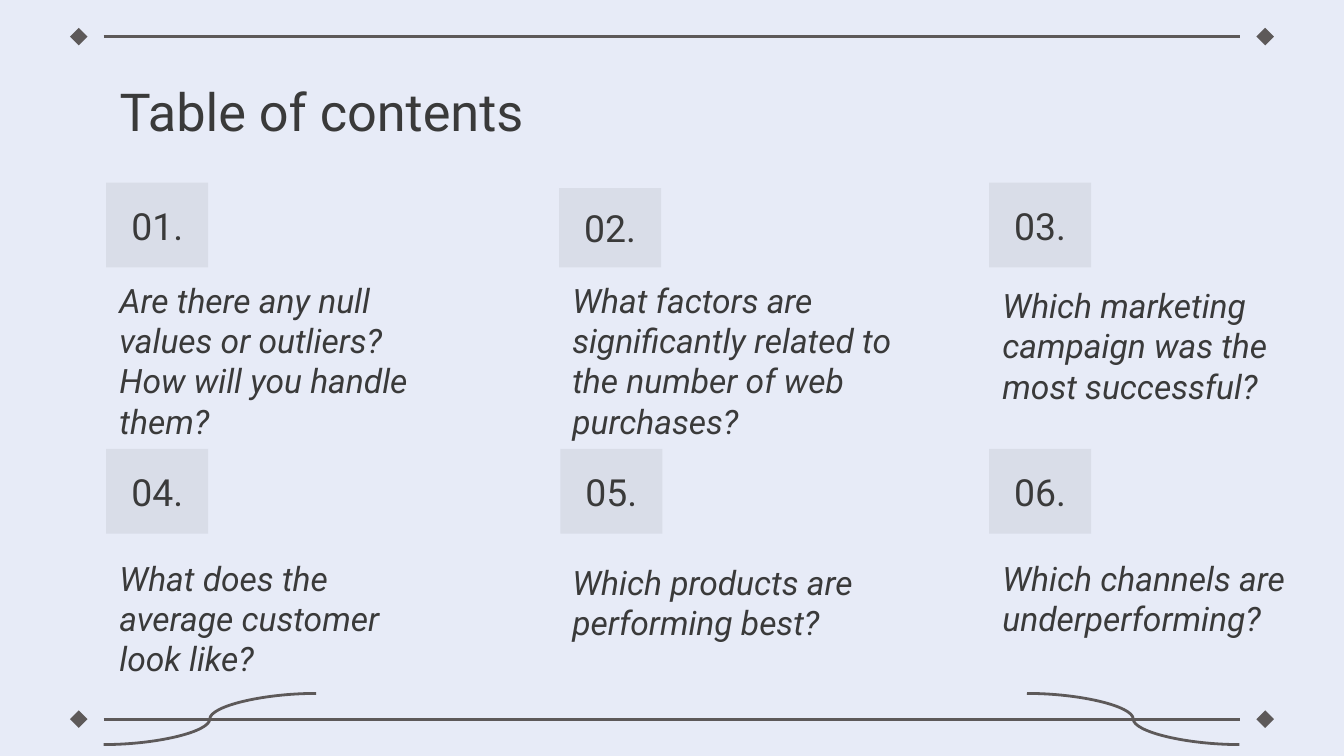
from dataclasses import dataclass

from lxml import etree
from pptx import Presentation
from pptx import util as u
from pptx.dml import color
from pptx.enum import shapes, text
from pptx.oxml import ns

Pt = u.Pt


@dataclass(frozen=True)
class Theme:
    back: str = "E7EBF7"
    line: str = "5D5959"
    badge: str = "D9DDE8"
    ink: str = "3A3A3A"
    font: str = "Roboto"
    head: int = 28
    num: int = 20
    body: int = 18
    rule: float = 1.5
    inset: float = 7.2


THEME = Theme()
WIDE, HIGH = 720, 405

# Column lefts and row tops of the contents grid
COLS = (56.9, 299.5, 529.9)
ROWS = (97.9, 240.5)

# Question, its box (top, width, height), and badge trim (left, top)
ITEMS = (
    ("Are there any null values or outliers? How will you handle them?",
     (150.5, 193.7, 92.9), (0, 0)),
    ("What factors are significantly related to the number of web purchases?",
     (150.5, 193.7, 92.9), (0, 2.9)),
    ("Which marketing campaign was the most successful?",
     (161.3, 178.6, 63.4), (0, 0)),
    ("What does the average customer look like?",
     (301.7, 175.7, 69.1), (0, 0)),
    ("Which products are performing best?",
     (301.7, 193.7, 49.7), (0.7, 0)),
    ("Which channels are underperforming?",
     (294.5, 235.4, 54.7), (0, 0)),
)


def rgb(code):
    return color.RGBColor.from_string(code)


def apply(obj, vals):
    for name, val in vals.items():
        setattr(obj, name, val)


def place(shape, box):
    names = ("left", "top", "width", "height")
    apply(shape, {name: Pt(val) for name, val in zip(names, box)})


def write(shape, words, size, anchor, align, italic=False):
    frame = shape.text_frame
    frame.text = words
    sides = ("left", "top", "right", "bottom")
    apply(frame, {f"margin_{side}": Pt(THEME.inset) for side in sides})
    apply(frame, {"word_wrap": True, "vertical_anchor": anchor,
                  "auto_size": text.MSO_AUTO_SIZE.NONE})
    para = frame.paragraphs[0]
    para.alignment = align
    font = para.runs[0].font
    apply(font, {"name": THEME.font, "size": Pt(size), "italic": italic})
    font.color.rgb = rgb(THEME.ink)


def solid(slide, kind, box, fill):
    shape = slide.shapes.add_shape(kind, *map(Pt, box))
    shape.shadow.inherit = False
    shape.fill.solid()
    shape.fill.fore_color.rgb = rgb(fill)
    shape.line.fill.background()
    return shape


def stroke(slide, kind, ends):
    line = slide.shapes.add_connector(kind, *map(Pt, ends))
    line.line.color.rgb = rgb(THEME.line)
    line.line.width = Pt(THEME.rule)
    etree.SubElement(line._element.spPr, ns.qn("a:effectLst"))


def border(slide, box):
    """Rule between two diamonds, centred on the height of the box."""
    left, top, width, height = box
    right, mid = left + width, top + height / 2
    gap = 18
    stroke(slide, shapes.MSO_CONNECTOR.STRAIGHT,
           (left + gap, mid, right - gap, mid))
    for x in (left, right - height):
        solid(slide, shapes.MSO_SHAPE.DIAMOND,
              (x, top, height, height), THEME.line)


def swirls(slide, box):
    """Mirrored curves rising inwards from the lower corners of the box."""
    left, top, width, height = box
    span = 113.8
    for x, way in ((left, 1), (left + width, -1)):
        stroke(slide, shapes.MSO_CONNECTOR.CURVE,
               (x, top + height, x + way * span, top))


def heading(slide, box):
    title = slide.shapes.title
    place(title, box)
    write(title, "Table of contents", THEME.head,
          text.MSO_ANCHOR.TOP, text.PP_ALIGN.LEFT)


def entry(slide, num, words, box, trim, left, top):
    """Number badge with its question below."""
    dx, dy = trim
    badge = solid(slide, shapes.MSO_SHAPE.RECTANGLE,
                  (left + dx, top + dy, 54.7, 45.4 - dy), THEME.badge)
    write(badge, f"{num:02}.", THEME.num,
          text.MSO_ANCHOR.MIDDLE, text.PP_ALIGN.CENTER)
    note = slide.shapes.add_textbox(Pt(left), *map(Pt, box))
    write(note, words, THEME.body, text.MSO_ANCHOR.BOTTOM,
          text.PP_ALIGN.LEFT, italic=True)


def contents(slide):
    for i, (words, box, trim) in enumerate(ITEMS):
        row, col = divmod(i, len(COLS))
        entry(slide, i + 1, words, box, trim, COLS[col], ROWS[row])


def main():
    deck = Presentation()
    apply(deck, {"slide_width": Pt(WIDE), "slide_height": Pt(HIGH)})
    slide = deck.slides.add_slide(deck.slide_layouts[5])
    fill = slide.background.fill
    fill.solid()
    fill.fore_color.rgb = rgb(THEME.back)

    # Frame at top and bottom
    for top in (14.9, 380.6):
        border(slide, (37.5, top, 645, 9.4))
    swirls(slide, (55.5, 371.5, 608.5, 27.4))

    # Title and numbered questions
    heading(slide, (56.9, 35.3, 607, 45.4))
    contents(slide)
    deck.save("out.pptx")


if __name__ == "__main__":
    main()
